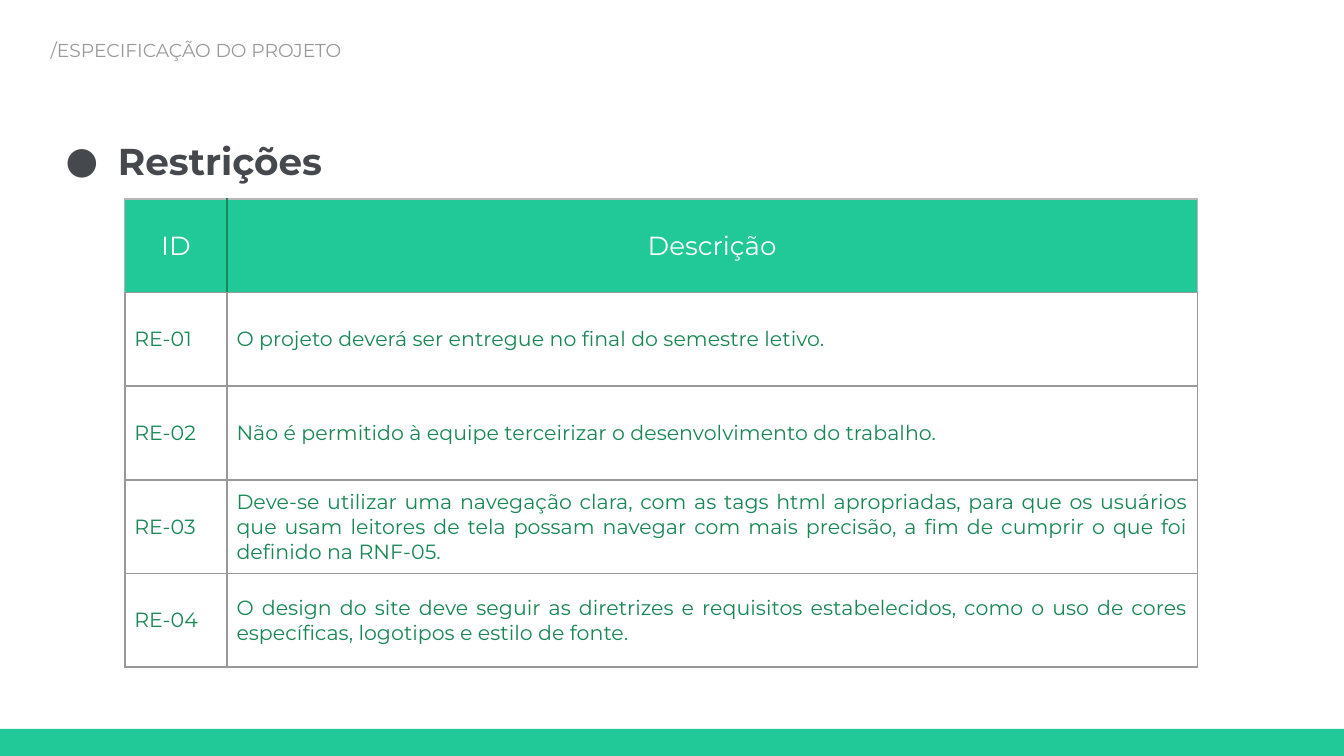
from lxml.etree import SubElement
from pptx import Presentation
from pptx.dml.color import RGBColor
from pptx.enum.shapes import MSO_SHAPE
from pptx.enum.text import MSO_ANCHOR, PP_ALIGN
from pptx.oxml.ns import qn
from pptx.util import Cm, Pt

HEX = {
    "green": "20C997",
    "dark": "198754",
    "title": "45484C",
    "gray": "999999",
    "light": "B7B7B7",
    "white": "FFFFFF",
}
ROWS = [
    ("ID", "Descrição"),
    ("RE-01", "O projeto deverá ser entregue no final do semestre letivo."),
    ("RE-02", "Não é permitido à equipe terceirizar o desenvolvimento do trabalho."),
    ("RE-03", "Deve-se utilizar uma navegação clara, com as tags html apropriadas, "
              "para que os usuários que usam leitores de tela possam navegar com mais "
              "precisão, a fim de cumprir o que foi definido na RNF-05."),
    ("RE-04", "O design do site deve seguir as diretrizes e requisitos estabelecidos, "
              "como o uso de cores específicas, logotipos e estilo de fonte."),
]


def write(frame, text, size, color, bold=False):
    frame.text = text
    frame.word_wrap = True
    font = frame.paragraphs[0].runs[0].font
    font.name = "Montserrat"
    font.size = Pt(size)
    font.bold = bold
    font.color.rgb = RGBColor.from_string(HEX[color])
    return frame.paragraphs[0]


def border(cell, side, color, width):
    props = cell._tc.get_or_add_tcPr()
    line = SubElement(props, qn(f"a:ln{side}"), w=str(Pt(width)))
    fill = SubElement(line, qn("a:solidFill"))
    SubElement(fill, qn("a:srgbClr"), val=HEX[color])


prs = Presentation()
prs.slide_width, prs.slide_height = Cm(25.4), Cm(14.29)
slide = prs.slides.add_slide(prs.slide_layouts[6])

# Title and section label
title = slide.shapes.add_textbox(Cm(0.71), Cm(1.93), Cm(22.73), Cm(1.37))
label = slide.shapes.add_textbox(Cm(0.71), Cm(0.53), Cm(11.46), Cm(0.94))
for box in (title, label):
    frame = box.text_frame
    frame.margin_left = frame.margin_right = Cm(0.25)
    frame.margin_top = frame.margin_bottom = Cm(0.25)
write(label.text_frame, "/ESPECIFICAÇÃO DO PROJETO", 10, "gray")
para = write(title.text_frame, "Restrições", 20, "title", True)
para.line_spacing = 1.5

# Title bullet
props = para._p.get_or_add_pPr()
props.set("marL", str(Cm(1.27)))
props.set("indent", str(Cm(-0.99)))
tint = SubElement(props, qn("a:buClr"))
SubElement(tint, qn("a:srgbClr"), val=HEX["title"])
SubElement(props, qn("a:buFont"), typeface="Montserrat")
SubElement(props, qn("a:buChar"), char="●")

# Footer bar
bar = slide.shapes.add_shape(MSO_SHAPE.RECTANGLE, 0, Cm(13.78), Cm(25.4), Cm(0.51))
bar.shadow.inherit = False
bar.fill.solid()
bar.fill.fore_color.rgb = RGBColor.from_string(HEX["green"])
bar.line.fill.background()

# Table of restrictions
table = slide.shapes.add_table(
    len(ROWS), 2, Cm(2.36), Cm(3.76), Cm(20.27), Cm(8.85)).table
table.first_row = table.horz_banding = False
table.columns[0].width, table.columns[1].width = Cm(1.93), Cm(18.34)
for r, row in enumerate(ROWS):
    table.rows[r].height = Cm(1.77)
    head = r == 0
    for c, text in enumerate(row):
        cell = table.cell(r, c)
        cell.vertical_anchor = MSO_ANCHOR.MIDDLE
        pad = Cm(0.25) if head else Cm(0.18)
        cell.margin_left = cell.margin_right = pad
        cell.margin_top = cell.margin_bottom = pad
        para = write(cell.text_frame, text, 14 if head else 11,
                     "white" if head else "dark")
        para.alignment = PP_ALIGN.CENTER if head else PP_ALIGN.JUSTIFY
        for side in "LRTB":
            color, width = "gray", 1
            if head and side != "B":
                inner = side == "LR"[1 - c]
                color, width = "dark" if inner else "light", 0.75
            border(cell, side, color, width)
        if head:
            cell.fill.solid()
            cell.fill.fore_color.rgb = RGBColor.from_string(HEX["green"])
        else:
            cell.fill.background()

prs.save("out.pptx")
